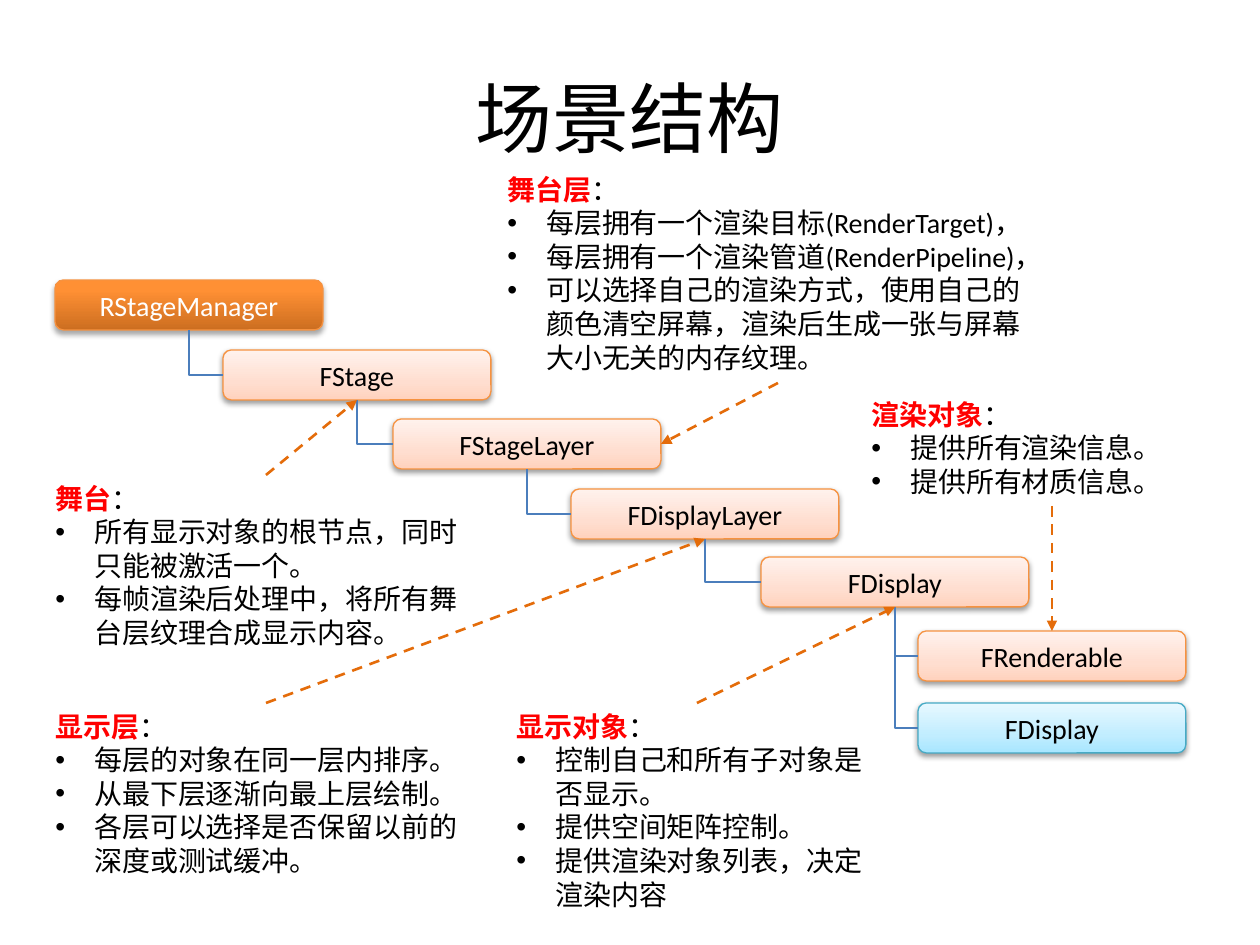
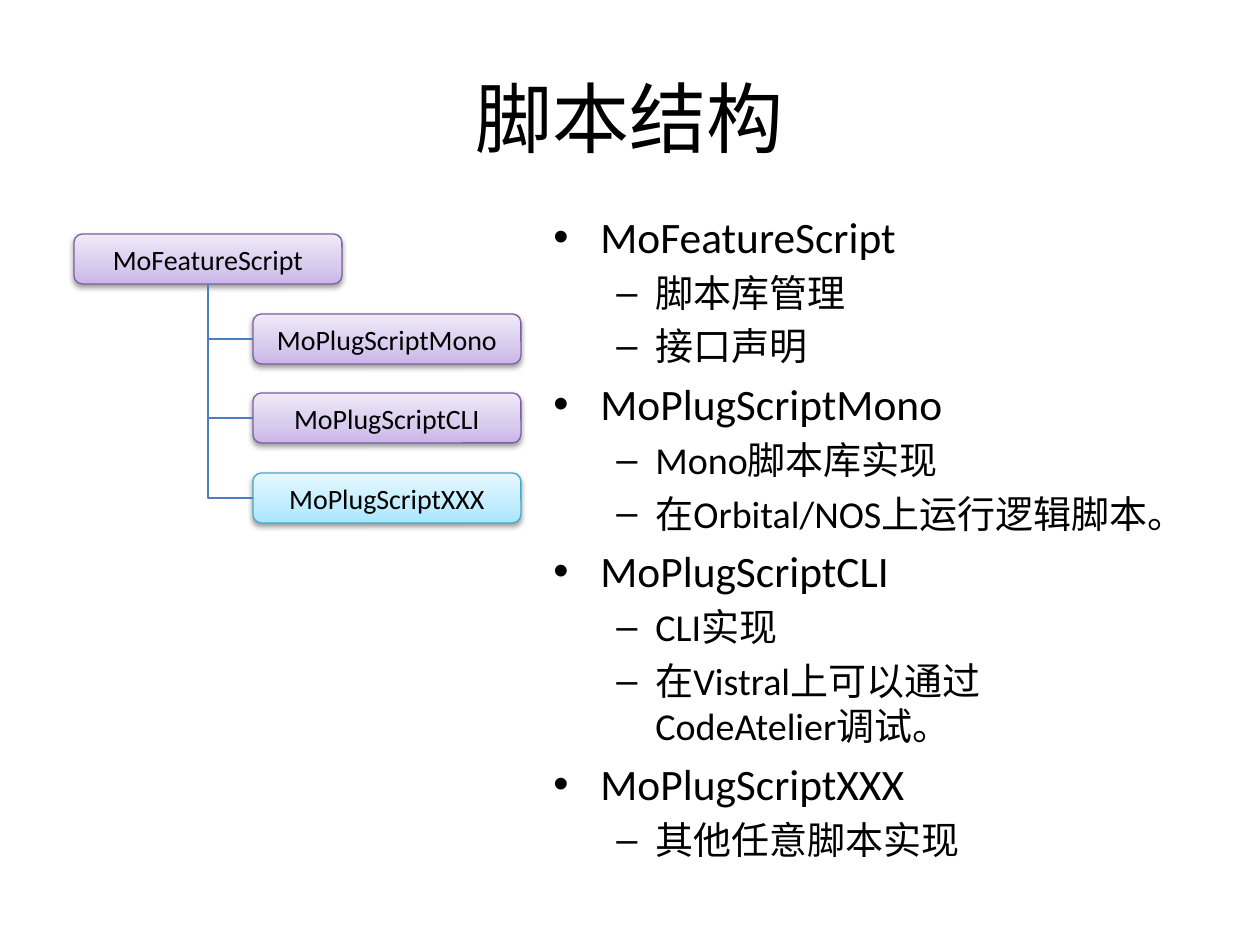
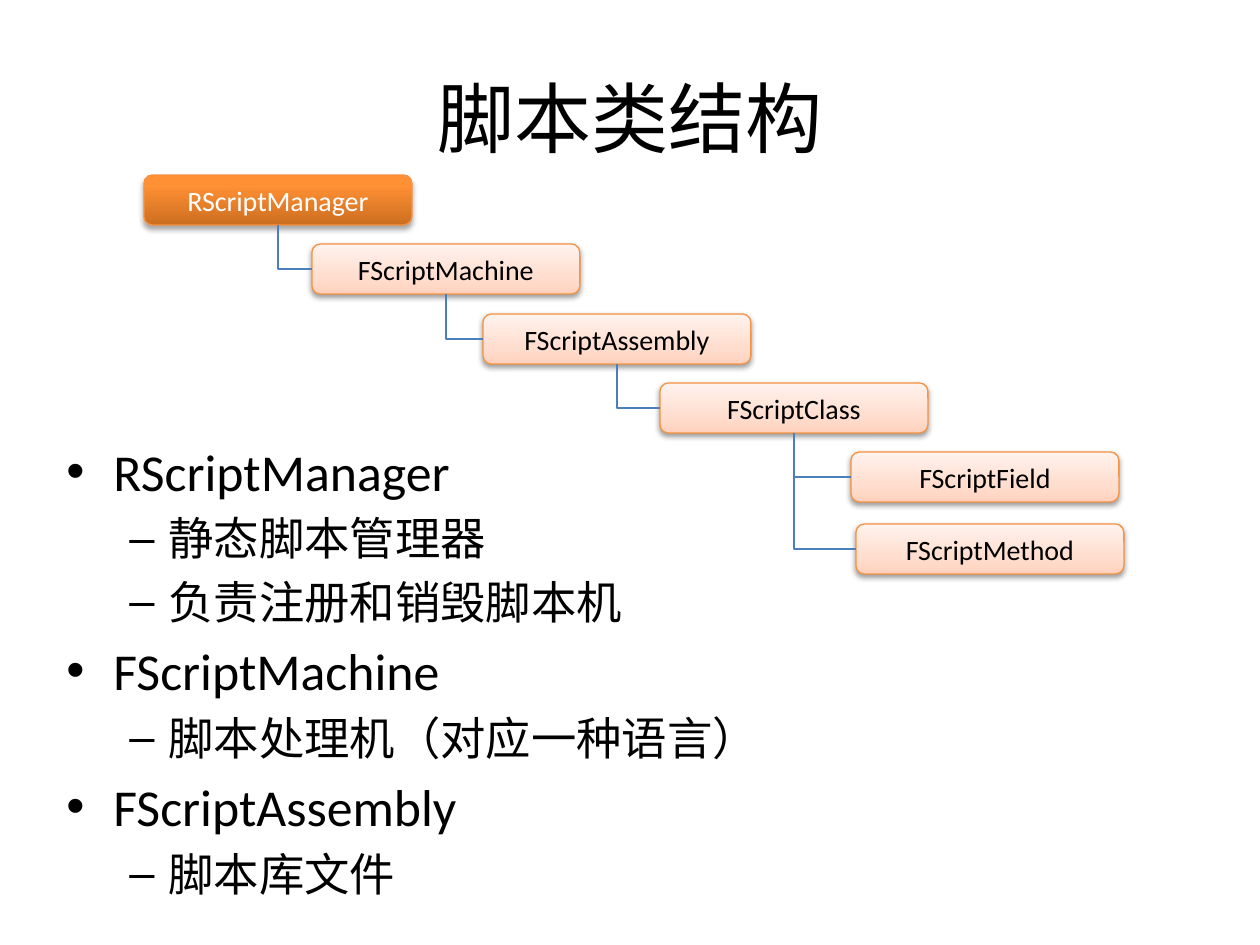
from copy import deepcopy

from lxml.etree import SubElement
from pptx import Presentation
from pptx.dml.color import RGBColor
from pptx.enum.dml import MSO_LINE
from pptx.enum.shapes import MSO_CONNECTOR as LINK, MSO_SHAPE
from pptx.enum.text import MSO_ANCHOR as ANCHOR, PP_ALIGN as ALIGN
from pptx.oxml.ns import qn
from pptx.util import Pt

PX = 914400 // 126
NODE_W, NODE_H = 268, 50
LINK_BLUE, ARROW_ORANGE = "4B7EBC", "E46C0A"
BLACK, RED, WHITE = "000000", "FF0000", "FFFFFF"

# Node themes: gradient from bottom to top, outline, text, shadow opacity and distance
THEMES = {
    "manager": ([(0, "CC6E20"), (0.8, "FF9034"), (1, "FF9136")], "F69240", WHITE, 35, 1.8),
    "peach": ([(0, "FFD2BD"), (0.35, "FFDED0"), (1, "FFF2ED")], "F69240", BLACK, 38, 1.6),
    "violet": ([(0, "C9B5E8"), (0.35, "D8CBEE"), (1, "F0EAF9")], "7D60A0", BLACK, 38, 1.6),
    "aqua": ([(0, "A7E6FF"), (0.35, "C1EDFF"), (1, "E7F8FF")], "46AAC5", BLACK, 38, 1.6),
}
# Bullet character, left margin and hanging indent
CALLOUT_BULLET = ("•", 39, 39)
BODY_BULLETS = [("•", 47, 47), ("–", 102, 39)]
BOTTOM, RIGHT, TOP = (0.5, 1), (1, 0.5), (0.5, 0)

# nodes: text, theme, left, top, index of the parent
# callouts: heading, points, box, arrow start (0 top, 1 bottom), target node, target spot
SLIDES = [
    {
        "title": "场景结构",
        "nodes": [
            ("RStageManager", "manager", 55, 280, None),
            ("FStage", "peach", 223, 350, 0),
            ("FStageLayer", "peach", 393, 419, 1),
            ("FDisplayLayer", "peach", 571, 489, 2),
            ("FDisplay", "peach", 761, 557, 3),
            ("FRenderable", "peach", 918, 631, 4),
            ("FDisplay", "aqua", 918, 703, 4),
        ],
        "callouts": [
            ("舞台", ["所有显示对象的根节点，同时只能被激活一个。",
                    "每帧渲染后处理中，将所有舞台层纹理合成显示内容。"],
             (43, 475, 446, 183), 0, 1, BOTTOM),
            ("舞台层", ["每层拥有一个渲染目标(RenderTarget)，",
                     "每层拥有一个渲染管道(RenderPipeline)，",
                     "可以选择自己的渲染方式，使用自己的颜色清空屏幕，"
                     "渲染后生成一张与屏幕大小无关的内存纹理。"],
             (495, 166, 566, 217), 1, 2, RIGHT),
            ("显示层", ["每层的对象在同一层内排序。", "从最下层逐渐向最上层绘制。",
                     "各层可以选择是否保留以前的深度或测试缓冲。"],
             (43, 703, 446, 183), 0, 3, BOTTOM),
            ("显示对象", ["控制自己和所有子对象是否显示。", "提供空间矩阵控制。",
                      "提供渲染对象列表，决定渲染内容"],
             (504, 703, 386, 217), 0, 4, BOTTOM),
            ("渲染对象", ["提供所有渲染信息。", "提供所有材质信息。"],
             (859, 391, 386, 115), 1, 5, TOP),
        ],
    },
    {
        "title": "脚本结构",
        "body_box": (541, 204, 625, 648),
        "body_sizes": (24.8, 21.7),
        "body": [
            ("MoFeatureScript", ["脚本库管理", "接口声明"]),
            ("MoPlugScriptMono", ["Mono脚本库实现", "在Orbital/NOS上运行逻辑脚本。"]),
            ("MoPlugScriptCLI", ["CLI实现", "在Vistral上可以通过CodeAtelier调试。"]),
            ("MoPlugScriptXXX", ["其他任意脚本实现"]),
        ],
        "nodes": [
            ("MoFeatureScript", "violet", 74, 234, None),
            ("MoPlugScriptMono", "violet", 253, 314, 0),
            ("MoPlugScriptCLI", "violet", 253, 393, 0),
            ("MoPlugScriptXXX", "aqua", 253, 473, 0),
        ],
    },
    {
        "title": "脚本类结构",
        "body_box": (54, 433, 725, 436),
        "body_sizes": (29.6, 25.9),
        "body": [
            ("RScriptManager", ["静态脚本管理器", "负责注册和销毁脚本机"]),
            ("FScriptMachine", ["脚本处理机（对应一种语言）"]),
            ("FScriptAssembly", ["脚本库文件"]),
        ],
        "nodes": [
            ("RScriptManager", "manager", 144, 175, None),
            ("FScriptMachine", "peach", 312, 244, 0),
            ("FScriptAssembly", "peach", 483, 314, 1),
            ("FScriptClass", "peach", 660, 383, 2),
            ("FScriptField", "peach", 851, 452, 3),
            ("FScriptMethod", "peach", 856, 524, 3),
        ],
    },
]


def rgb(code):
    """Turn a hex string into a colour."""
    return RGBColor.from_string(code)


def write(frame, paragraphs, align=ALIGN.LEFT, **frame_format):
    """Fill a text frame with (runs, bullet, space before) paragraphs."""
    for key, value in {"word_wrap": True, **frame_format}.items():
        setattr(frame, key, value)
    for index, (runs, bullet, before) in enumerate(paragraphs):
        line = frame.add_paragraph() if index else frame.paragraphs[0]
        line.alignment = align
        line.space_before = Pt(before)
        if bullet:
            mark, left, hanging = bullet
            props = line._p.get_or_add_pPr()
            props.set("marL", str(left * PX))
            props.set("indent", str(-hanging * PX))
            SubElement(props, qn("a:buFont"), typeface="Arial")
            SubElement(props, qn("a:buChar"), char=mark)
        for text, size, color, bold in runs:
            run = line.add_run()
            run.text = text
            run.font.color.rgb = rgb(color)
            for key, value in {"name": "Calibri", "size": Pt(size), "bold": bold}.items():
                setattr(run.font, key, value)


deck = Presentation()
deck.slide_width, deck.slide_height = 1260 * PX, 945 * PX

for content in SLIDES:
    slide = deck.slides.add_slide(deck.slide_layouts[6])
    shapes = slide.shapes
    nodes = content["nodes"]

    title = shapes.add_textbox(*[n * PX for n in (63, 38, 1134, 157)])
    write(title.text_frame, [([(content["title"], 44, BLACK, False)], None, 0)],
          ALIGN.CENTER, vertical_anchor=ANCHOR.MIDDLE)

    if "body" in content:
        outline = []
        for topic, details in content["body"]:
            for level, text in [(0, topic)] + [(1, detail) for detail in details]:
                size = content["body_sizes"][level]
                outline.append(([(text, size, BLACK, False)], BODY_BULLETS[level],
                                round(size * 0.2, 1)))
        body = shapes.add_textbox(*[n * PX for n in content["body_box"]])
        write(body.text_frame, outline)

    for text, theme, left, top, parent in nodes:
        stops, edge, ink, opacity, distance = THEMES[theme]
        node = shapes.add_shape(MSO_SHAPE.ROUNDED_RECTANGLE,
                                *[n * PX for n in (left, top, NODE_W, NODE_H)])
        node.fill.gradient()
        node.fill.gradient_angle = 90
        stop_list = node._element.spPr.find(".//" + qn("a:gsLst"))
        stop_list.append(deepcopy(stop_list[-1]))
        for stop, (position, color) in zip(node.fill.gradient_stops, stops):
            stop.position = position
            stop.color.rgb = rgb(color)
        node.line.color.rgb = rgb(edge)
        node.line.width = Pt(0.75)
        node.shadow.inherit = False
        effects = node._element.spPr.find(qn("a:effectLst"))
        shade = SubElement(effects, qn("a:outerShdw"), blurRad=str(Pt(3.1)),
                           dist=str(Pt(distance)), dir="5400000", rotWithShape="0")
        shade_color = SubElement(shade, qn("a:srgbClr"), val=BLACK)
        SubElement(shade_color, qn("a:alpha"), val=str(opacity * 1000))
        write(node.text_frame, [([(text, 16, ink, False)], None, 0)], ALIGN.CENTER,
              vertical_anchor=ANCHOR.MIDDLE, margin_left=0, margin_right=0,
              margin_top=0, margin_bottom=0)

    links = []
    for _, _, left, top, parent in nodes:
        if parent is None:
            continue
        start_x, start_y = nodes[parent][2] + NODE_W // 2, nodes[parent][3] + NODE_H
        run_x, drop_y = left - start_x, top + NODE_H // 2 - start_y
        # The elbow is laid out sideways about its centre, then turned and mirrored
        mid_x, mid_y = start_x + run_x / 2, start_y + drop_y / 2
        ends = (mid_x - drop_y / 2, mid_y - run_x / 2, mid_x + drop_y / 2, mid_y + run_x / 2)
        link = shapes.add_connector(LINK.ELBOW, *[int(n * PX) for n in ends])
        props = link._element.spPr
        props.find(qn("a:prstGeom")).set("prst", "bentConnector2")
        for key, value in {"rot": "16200000", "flipH": "1"}.items():
            props.find(qn("a:xfrm")).set(key, value)
        links.append((link, LINK_BLUE))

    for heading, points, box, edge, target, (across, down) in content.get("callouts", []):
        left, top, width, height = box
        callout = shapes.add_textbox(*[n * PX for n in box])
        write(callout.text_frame,
              [([(heading, 16, RED, True), ("：", 16, BLACK, False)], None, 0)]
              + [([(point, 16, BLACK, False)], CALLOUT_BULLET, 0) for point in points])
        ends = (left + width // 2, top + edge * height,
                nodes[target][2] + across * NODE_W, nodes[target][3] + down * NODE_H)
        arrow = shapes.add_connector(LINK.STRAIGHT, *[int(n * PX) for n in ends])
        links.append((arrow, ARROW_ORANGE))

    for link, color in links:
        link.line.color.rgb = rgb(color)
        link.line.width = Pt(1.5)
        if color == ARROW_ORANGE:
            link.line.dash_style = MSO_LINE.DASH
            SubElement(link.line._get_or_add_ln(), qn("a:tailEnd"), type="triangle")
        SubElement(link._element.spPr, qn("a:effectLst"))

deck.save("out.pptx")
